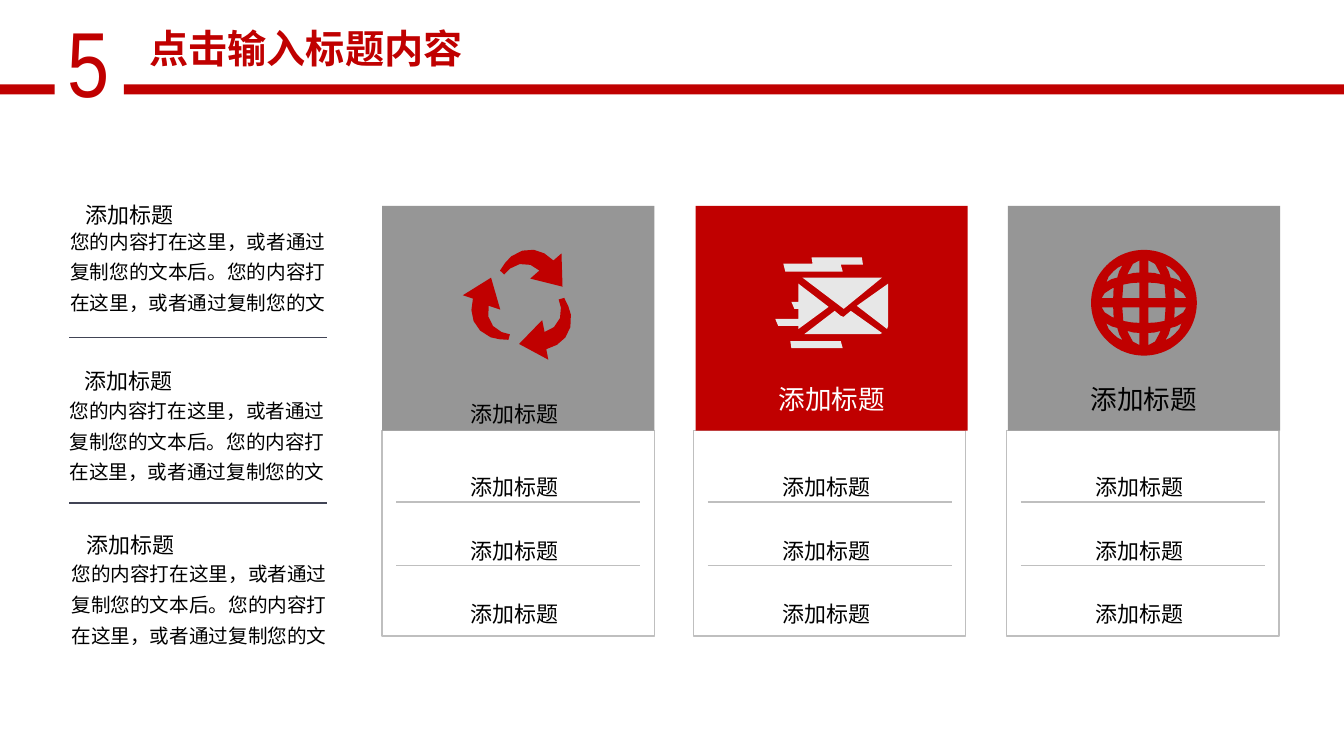
from math import cos, radians, sin

from lxml import etree
from pptx import Presentation
from pptx.dml.color import RGBColor
from pptx.enum import shapes, text
from pptx.oxml import ns
from pptx.util import Cm, Pt

RED = RGBColor(0xC0, 0x00, 0x00)
GRAY = RGBColor(0x96, 0x96, 0x96)
SILVER = RGBColor(0xBF, 0xBF, 0xBF)
PALE = RGBColor(0xE7, 0xE7, 0xE7)
SLATE = RGBColor(0x41, 0x44, 0x55)
BLACK = RGBColor(0x00, 0x00, 0x00)
WHITE = RGBColor(0xFF, 0xFF, 0xFF)
CJK = "Noto Sans CJK SC"
LABEL = "添加标题"
BODY = "您的内容打在这里，或者通过复制您的文本后。您的内容打在这里，或者通过复制您的文"
CARD_W = 6.86
HEADER_H = 5.66
TABLE_H = 5.18

ARROW = [(37, -49), (29, -42), (20, -49), (9.5, -52.6), (-2, -51.7), (-13, -46),
         (-19, -39.5), (-24, -32), (-20, -28), (-14, -34), (-4.5, -38.4),
         (6.2, -37.6), (15, -32), (6, -24), (38, -16)]
ENVELOPE = [
    [(-29, -25), (50, -25), (12, 6)],
    [(-40, -1), (-37, 6), (-33, 6), (-33, 16), (-56, 16), (-53, 23), (-33, 23),
     (-33, 26), (-3, 4), (-33, -19), (-33, -1)],
    [(-41, 38), (9, 38), (11, 45), (-40, 45)],
    [(-20, -45), (30, -45), (31, -38), (9, -38), (11, -31), (-46, -31),
     (-48, -39), (-19, -39)],
    [(56, -19), (25, 3), (55, 26), (56, 23)],
    [(50, 30), (48, 31), (-27, 31), (3, 8), (9, 13), (12, 14), (13, 13), (19, 8)],
]
GLOBE_QUARTER = [
    [(4.5, 30), (4.5, 42), (11, 38.5), (14.5, 32), (16.5, 28), (10.5, 29.5)],
    [(4.5, 4.5), (21.5, 4.5), (21, 11), (20.5, 18), (12.5, 19.5), (4.5, 20)],
    [(30.5, 4.5), (42, 4.5), (39, 9.5), (32, 14), (30, 15), (30.4, 10)],
    [(37.5, 20), (36.5, 21), (32, 23.5), (26.5, 25), (24.5, 31.5), (22.5, 35),
     (21.5, 37), (26, 34.8), (30.5, 31), (35, 26)],
]


def recycle_outlines():
    """Return three arrows turned by thirds of a circle."""
    turns = [(cos(radians(a)), sin(radians(a))) for a in (0, 120, 240)]
    return [[(6 + x * c - y * s, x * s + y * c) for x, y in ARROW] for c, s in turns]


def globe_outlines():
    """Return the disc and its holes, mirrored into four quarters."""
    disc = [(52.5 * cos(radians(a)), 52.5 * sin(radians(a))) for a in range(0, 360, 5)]
    holes = [[(x * mx, y * my) for x, y in hole]
             for mx in (1, -1) for my in (1, -1) for hole in GLOBE_QUARTER]
    return [disc] + holes


def add_icon(s, cx, cy, outlines, color):
    """Draw closed outlines around a centre as one shape."""
    grid = [[(x * 10, y * 10) for x, y in line] for line in outlines]
    builder = s.shapes.build_freeform(*grid[0][0], scale=Cm(0.00254))
    builder.add_line_segments(grid[0][1:])
    for line in grid[1:]:
        builder.move_to(*line[0])
        builder.add_line_segments(line[1:])
    sp = builder.convert_to_shape(Cm(cx), Cm(cy))
    sp.shadow.inherit = False
    sp.fill.solid()
    sp.fill.fore_color.rgb = color
    sp.line.fill.background()


def add_rect(s, x, y, w, h, fill=None, line=None):
    """Draw a rectangle with an optional fill and outline."""
    sp = s.shapes.add_shape(shapes.MSO_SHAPE.RECTANGLE, Cm(x), Cm(y), Cm(w), Cm(h))
    sp.shadow.inherit = False
    if fill is None:
        sp.fill.background()
    else:
        sp.fill.solid()
        sp.fill.fore_color.rgb = fill
    if line is None:
        sp.line.fill.background()
    else:
        sp.line.color.rgb = line
        sp.line.width = Pt(1)


def add_rule(s, x, y, w, color):
    """Draw a thin horizontal line."""
    line = s.shapes.add_connector(shapes.MSO_CONNECTOR.STRAIGHT, Cm(x), Cm(y), Cm(x + w), Cm(y))
    line.line.color.rgb = color
    line.line.width = Pt(1)
    etree.SubElement(line._element.spPr, ns.qn("a:effectLst"))


def write(sp, words, size, color, font=CJK, bold=False, align=text.PP_ALIGN.CENTER):
    """Write one formatted paragraph into a shape and return it."""
    tf = sp.text_frame
    tf.word_wrap = True
    tf.auto_size = text.MSO_AUTO_SIZE.NONE
    tf.vertical_anchor = text.MSO_ANCHOR.TOP
    p = tf.paragraphs[0]
    p.alignment = align
    r = p.add_run()
    r.text = words
    r.font.size = Pt(size)
    r.font.bold = bold
    r.font.color.rgb = color
    r.font.name = font
    etree.SubElement(r.font._element, ns.qn("a:ea")).set("typeface", font)
    return p


def add_text(s, x, y, w, h, *args, **kwargs):
    """Add a text box holding one paragraph and return the paragraph."""
    return write(s.shapes.add_textbox(Cm(x), Cm(y), Cm(w), Cm(h)), *args, **kwargs)


def add_label(s, x, y):
    """Add a short lowered heading."""
    p = add_text(s, x, y, 3.68, 1.02, LABEL, 27, BLACK)
    p.runs[0].font._element.set("baseline", "-3000")


def add_banner(s):
    """Place the section number, the red bars and the title."""
    add_text(s, 1.45, 0, 1.6, 3.07, "5", 66, RED, font="Arial Narrow",
             align=text.PP_ALIGN.LEFT)
    add_rect(s, 3.12, 2.13, 30.75, 0.25, RED)
    add_rect(s, -0.08, 2.13, 1.46, 0.25, RED)
    title = s.shapes.title
    title.left, title.top, title.width, title.height = Cm(3.15), Cm(0.48), Cm(9.12), Cm(1.45)
    p = write(title, "点击输入标题内容", 28, RED, bold=True)
    p.line_spacing = 1.0


def add_note(s, x, y, gap):
    """Place a heading with its paragraph below."""
    add_label(s, x, y)
    p = add_text(s, x + 0.1, y + gap, 7.19, 2.67, BODY, 14, BLACK, align=text.PP_ALIGN.LEFT)
    p.line_spacing = 1.3


def add_card_rows(s, x, y):
    """Place the outlined lower part of a card with three rows."""
    for row in range(3):
        add_label(s, x + 1.5, y + 0.53 + 1.6 * row)
    add_rect(s, x, y, CARD_W, TABLE_H, line=SILVER)
    for row in range(2):
        add_rule(s, x + 0.36, y + 1.8 + 1.6 * row, 6.15, SILVER)


def add_card_header(s, x, y, fill, outlines, icon_color, label_color):
    """Place the coloured upper part of a card with its icon and label."""
    add_rect(s, x, y, CARD_W, HEADER_H, fill)
    add_icon(s, x + CARD_W / 2, y + 2.44, outlines, icon_color)
    if label_color is None:
        add_label(s, x + 1.5, y + 4.34)
    else:
        add_text(s, x + 1.59, y + 4.34, 3.68, 1.07, LABEL, 19, label_color)


def main():
    """Build the slide and save it."""
    prs = Presentation()
    prs.slide_width, prs.slide_height = Cm(33.87), Cm(19.05)
    s = prs.slides.add_slide(prs.slide_layouts[5])
    add_banner(s)
    for y in (8.51, 12.67):
        add_rule(s, 1.75, y, 6.48, SLATE)
    for x, y, gap in ((1.42, 4.52, 0.97), (1.4, 8.71, 1.04), (1.45, 12.85, 1.02)):
        add_note(s, x, y, gap)
    for x in (9.63, 17.48, 25.37):
        add_card_rows(s, x, 10.85)
    add_card_header(s, 9.63, 5.19, GRAY, recycle_outlines(), RED, None)
    add_card_header(s, 17.53, 5.19, RED, ENVELOPE, PALE, WHITE)
    add_card_header(s, 25.4, 5.19, GRAY, globe_outlines(), RED, BLACK)
    prs.save("out.pptx")


if __name__ == "__main__":
    main()
